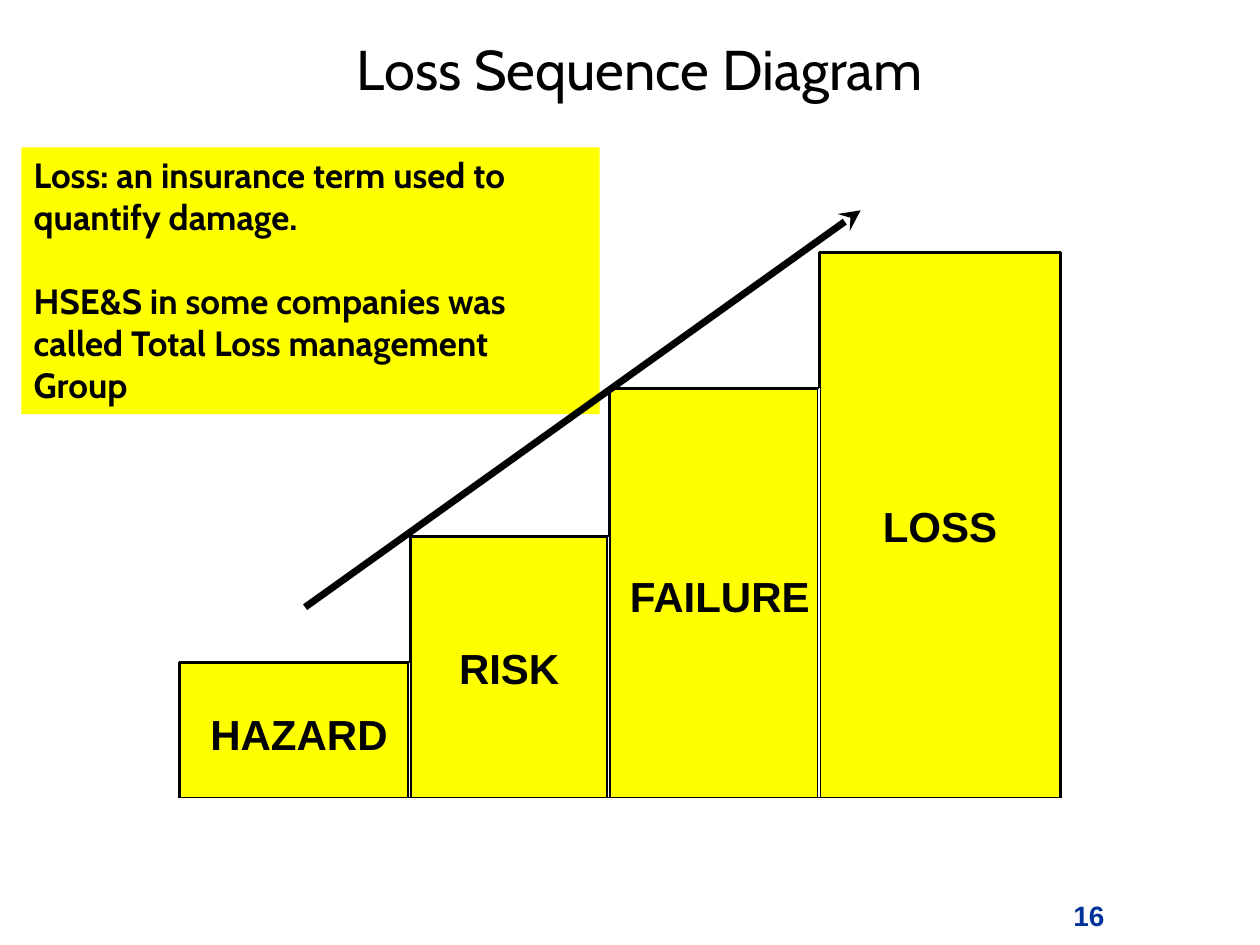
from itertools import pairwise

from lxml import etree
from pptx import Presentation
from pptx.dml.color import RGBColor
from pptx.enum.shapes import MSO_CONNECTOR, MSO_SHAPE
from pptx.enum.text import MSO_ANCHOR as Anchor, PP_ALIGN as Align
from pptx.oxml.ns import qn
from pptx.util import Cm, Pt

BLACK = RGBColor(0x00, 0x00, 0x00)
YELLOW = RGBColor(0xFF, 0xFF, 0x00)
NAVY = RGBColor(0x00, 0x33, 0x99)

presentation = Presentation()
presentation.slide_width = Cm(25.4)
presentation.slide_height = Cm(19.05)
slide = presentation.slides.add_slide(presentation.slide_layouts[6])


def write(shape, lines, size, font="Arial", color=BLACK, bold=True,
          align=Align.LEFT, anchor=Anchor.TOP, wrap=False):
    text_frame = shape.text_frame
    text_frame.text = "\n".join(lines)
    text_frame.word_wrap = wrap
    text_frame.vertical_anchor = anchor
    for paragraph in text_frame.paragraphs:
        paragraph.alignment = align
        for run in paragraph.runs:
            run.font.name = font
            run.font.size = Pt(size)
            run.font.bold = bold
            run.font.color.rgb = color


def add_line(start, end, width):
    line = slide.shapes.add_connector(
        MSO_CONNECTOR.STRAIGHT, *map(Cm, start), *map(Cm, end))
    line.line.color.rgb = BLACK
    line.line.width = Pt(width)
    etree.SubElement(line._element.spPr, qn("a:effectLst"))
    return line


title = slide.shapes.add_textbox(Cm(0.84), Cm(0), Cm(24.13), Cm(2.74))
write(title, ["Loss Sequence Diagram"], 32, font="Cabin", bold=False,
      align=Align.CENTER, anchor=Anchor.MIDDLE, wrap=True)

# Staircase: edges of the four steps, their tops and the common base
edges = [3.61, 8.26, 12.27, 16.51, 21.39]
tops = [13.34, 10.8, 7.82, 5.08]
base = 16.08
steps = [(left, right, top) for (left, right), top in zip(pairwise(edges), tops)]

corners = [(edges[-1], base), (edges[0], base)]
for left, right, top in steps:
    corners += [(left, top), (right, top)]
corners.append(corners[0])
for start, end in pairwise(corners):
    add_line(start, end, 1)

inset = 0.03
for (left, right, top), label in zip(steps, [None, "RISK", None, "LOSS"]):
    bar = slide.shapes.add_shape(
        MSO_SHAPE.RECTANGLE, Cm(left + inset), Cm(top + inset),
        Cm(right - left - 2 * inset), Cm(base - top - inset))
    bar.shadow.inherit = False
    bar.fill.solid()
    bar.fill.fore_color.rgb = YELLOW
    bar.line.color.rgb = BLACK
    bar.line.width = Pt(1)
    if label:
        write(bar, [label], 24, align=Align.CENTER, anchor=Anchor.MIDDLE)

for label, left, top, width in [("FAILURE", 12.45, 11.38, 4.19),
                                ("HAZARD", 3.99, 14.15, 4.09)]:
    label_box = slide.shapes.add_textbox(Cm(left), Cm(top), Cm(width), Cm(1.27))
    write(label_box, [label], 24)

definition = slide.shapes.add_shape(
    MSO_SHAPE.RECTANGLE, Cm(0.43), Cm(2.97), Cm(11.66), Cm(5.38))
definition.shadow.inherit = False
definition.fill.solid()
definition.fill.fore_color.rgb = YELLOW
definition.line.fill.background()
write(definition, ["Loss: an insurance term used to quantify damage.",
                   "HSE&S in some companies was called Total Loss management Group"],
      20, font="Cabin", wrap=True)
definition.text_frame.paragraphs[1].space_before = Pt(24)

page_number = slide.shapes.add_textbox(Cm(21.39), Cm(17.98), Cm(1.7), Cm(0.84))
write(page_number, ["16"], 16, color=NAVY, wrap=True)

arrow = add_line((6.15, 12.24), (17.35, 4.24), 4)
etree.SubElement(arrow.line._get_or_add_ln(), qn("a:tailEnd"), type="stealth")

presentation.save("out.pptx")
